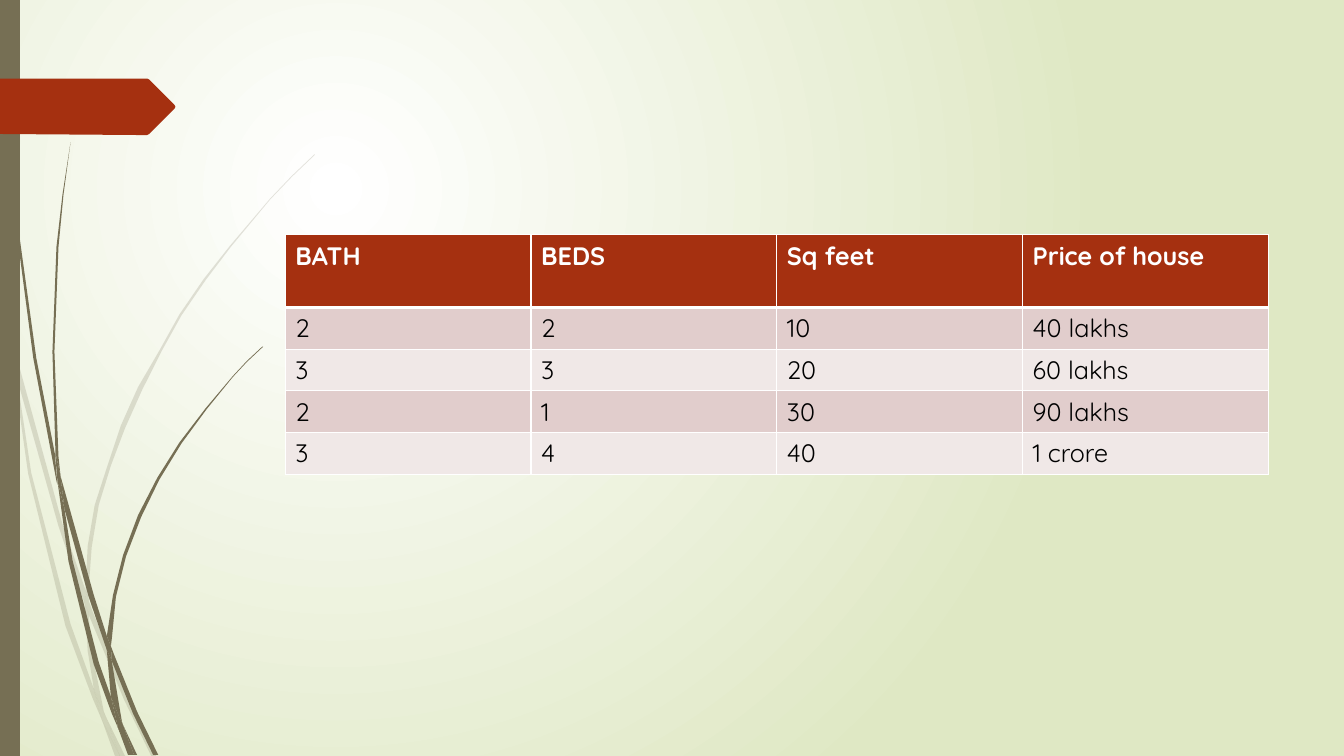
from dataclasses import dataclass

from lxml import etree
from pptx import Presentation, util as u
from pptx.dml.color import RGBColor
from pptx.oxml.ns import qn

WHITE = RGBColor(0xFF, 0xFF, 0xFF)
BLACK = RGBColor(0x00, 0x00, 0x00)
PALE_GREEN = RGBColor(0xDF, 0xE8, 0xC4)
OLIVE = RGBColor(0x76, 0x6F, 0x54)
RUST = RGBColor(0xA5, 0x30, 0x10)
BANDS = (RGBColor(0xE1, 0xCD, 0xCC), RGBColor(0xF0, 0xE8, 0xE7))
FONT = "Quicksand"

WIDTH, HEIGHT = u.Inches(13.33), u.Inches(7.5)
GRID = HEIGHT // 750  # outlines are given in steps of this grid


@dataclass
class Outline:
    """A filled closed outline, its corners in grid steps."""
    corners: list[tuple[int, int]]
    color: RGBColor = OLIVE
    opacity: int = 100


@dataclass
class House:
    bath: str
    beds: str
    area: str
    price: str

    def values(self) -> tuple[str, ...]:
        return self.bath, self.beds, self.area, self.price


FAINT_GRASS = [
    [(11, 350), (9, 322), (0, 282), (0, 299), (10, 344)],
    [(58, 522), (84, 599), (85, 586), (62, 520), (14, 345), (17, 376)],
    [(92, 607), (88, 596), (88, 610), (123, 694), (150, 750), (155, 750), (127, 692)],
    [(119, 750), (124, 750), (105, 711)],
    [(93, 683), (70, 619), (31, 469), (17, 376), (11, 350), (28, 470),
     (65, 621), (92, 693), (101, 714), (99, 707)],
    [(84, 599), (87, 646), (93, 683), (96, 692), (105, 711), (103, 706),
     (91, 646), (88, 610), (88, 608)],
    [(88, 584), (91, 543), (98, 501), (110, 462), (124, 425), (141, 387), (160, 349),
     (180, 313), (204, 278), (229, 245), (268, 198), (290, 175), (312, 154), (312, 153),
     (289, 175), (268, 197), (228, 244), (202, 277), (178, 312), (158, 348), (137, 384),
     (120, 422), (107, 461), (94, 501), (87, 542), (85, 584), (85, 586), (88, 596)],
    [(101, 714), (114, 750), (119, 750)],
    [(88, 608), (88, 610), (88, 596), (85, 586), (84, 599)],
    [(96, 692), (93, 683), (99, 707), (101, 714), (119, 750), (105, 711)],
]
FULL_GRASS = [
    [(7, 110), (17, 233), (33, 355), (56, 477), (57, 481), (55, 457), (55, 453),
     (36, 355), (19, 232), (8, 109), (5, 48), (4, 0), (3, 0), (4, 48)],
    [(88, 592), (106, 645), (106, 633), (106, 631), (93, 590), (60, 472), (64, 505)],
    [(113, 649), (110, 641), (111, 656), (132, 708), (152, 749), (157, 749), (136, 706)],
    [(110, 691), (98, 657), (72, 556), (64, 505), (57, 477), (68, 557),
     (93, 659), (111, 708), (117, 722), (116, 717)],
    [(60, 472), (58, 453), (54, 349), (58, 245), (63, 193), (70, 141),
     (62, 193), (56, 245), (52, 349), (55, 449)],
    [(133, 749), (136, 749), (122, 719)],
    [(57, 477), (64, 505), (60, 472), (55, 449), (55, 453)],
    [(111, 633), (115, 592), (125, 552), (140, 513), (158, 476), (180, 440), (205, 406),
     (231, 374), (245, 359), (261, 344), (260, 344), (245, 358), (231, 373), (204, 405),
     (178, 439), (156, 474), (137, 511), (122, 551), (112, 591), (106, 631), (110, 641)],
    [(117, 722), (127, 749), (131, 749)],
    [(106, 645), (110, 691), (116, 706), (122, 719), (121, 716), (111, 656), (109, 651)],
    [(106, 645), (109, 651), (111, 656), (110, 641), (106, 631), (106, 633)],
    [(116, 706), (110, 691), (116, 717), (117, 722), (130, 749), (133, 749), (122, 719)],
]
STEM = [(0, 0), (20, 0), (20, 750), (0, 750)]
ARROW = [(0, 78), (146, 78), (148, 79), (173, 104), (174, 106), (173, 108),
         (148, 133), (146, 134), (136, 134), (0, 133)]

HEADINGS = House("BATH", "BEDS", "Sq feet", "Price of house")
HOUSES = [
    House("2", "2", "10", "40 lakhs"),
    House("3", "3", "20", "60 lakhs"),
    House("2", "1", "30", "90 lakhs"),
    House("3", "4", "40", "1 crore"),
]


def paint_background(slide) -> None:
    """Radial gradient, centred a quarter of the way into the slide."""
    fill = slide.background.fill
    fill.gradient()
    for stop, color in zip(fill.gradient_stops, (WHITE, PALE_GREEN)):
        stop.color.rgb = color
    linear = slide.element.find(".//" + qn("a:lin"))
    circle = etree.Element(qn("a:path"), path="circle")
    etree.SubElement(circle, qn("a:fillToRect"), l="50000", t="50000", r="100000", b="100000")
    linear.getparent().replace(linear, circle)


def draw_outline(slide, outline: Outline) -> None:
    start, *rest = outline.corners
    builder = slide.shapes.build_freeform(*start, scale=GRID)
    builder.add_line_segments(rest, close=True)
    shape = builder.convert_to_shape()
    shape.shadow.inherit = False
    shape.fill.solid()
    shape.fill.fore_color.rgb = outline.color
    shape.line.fill.background()
    if outline.opacity < 100:
        color = shape.element.spPr.find(".//" + qn("a:srgbClr"))
        etree.SubElement(color, qn("a:alpha"), val=str(outline.opacity * 1000))


def draw_borders(cell, top: float, bottom: float) -> None:
    properties = cell._tc.get_or_add_tcPr()
    for side, points in (("L", 1), ("R", 1), ("T", top), ("B", bottom)):
        line = etree.SubElement(properties, qn(f"a:ln{side}"), w=str(u.Pt(points)))
        solid = etree.SubElement(line, qn("a:solidFill"))
        etree.SubElement(solid, qn("a:srgbClr"), val=str(WHITE))


def draw_cell(cell, wording: str, row: int) -> None:
    is_heading = row == 0
    draw_borders(cell, top=3 if row == 1 else 1, bottom=3 if is_heading else 1)
    cell.fill.solid()
    cell.fill.fore_color.rgb = RUST if is_heading else BANDS[(row - 1) % 2]
    cell.text_frame.text = wording
    font = cell.text_frame.paragraphs[0].runs[0].font
    font.name, font.size, font.bold = FONT, u.Pt(18), is_heading
    font.color.rgb = WHITE if is_heading else BLACK


def draw_price_table(slide) -> None:
    records = [HEADINGS, *HOUSES]
    columns = len(HEADINGS.values())
    heights = [72 * GRID] + [41 * GRID] * len(HOUSES)
    table = slide.shapes.add_table(len(records), columns, 283 * GRID, 233 * GRID,
                                   975 * GRID, sum(heights)).table
    for row, (record, height) in enumerate(zip(records, heights)):
        table.rows[row].height = height
        for column, wording in enumerate(record.values()):
            draw_cell(table.cell(row, column), wording, row)


prs = Presentation()
prs.slide_width, prs.slide_height = WIDTH, HEIGHT
house_slide = prs.slides.add_slide(prs.slide_layouts[6])

# Backdrop: gradient, grass blades, stem and arrow
paint_background(house_slide)
backdrop = [Outline(blade, opacity=20) for blade in FAINT_GRASS]
backdrop += [Outline(blade) for blade in FULL_GRASS]
backdrop += [Outline(STEM), Outline(ARROW, RUST)]
for part in backdrop:
    draw_outline(house_slide, part)

# House prices
draw_price_table(house_slide)

prs.save("out.pptx")
